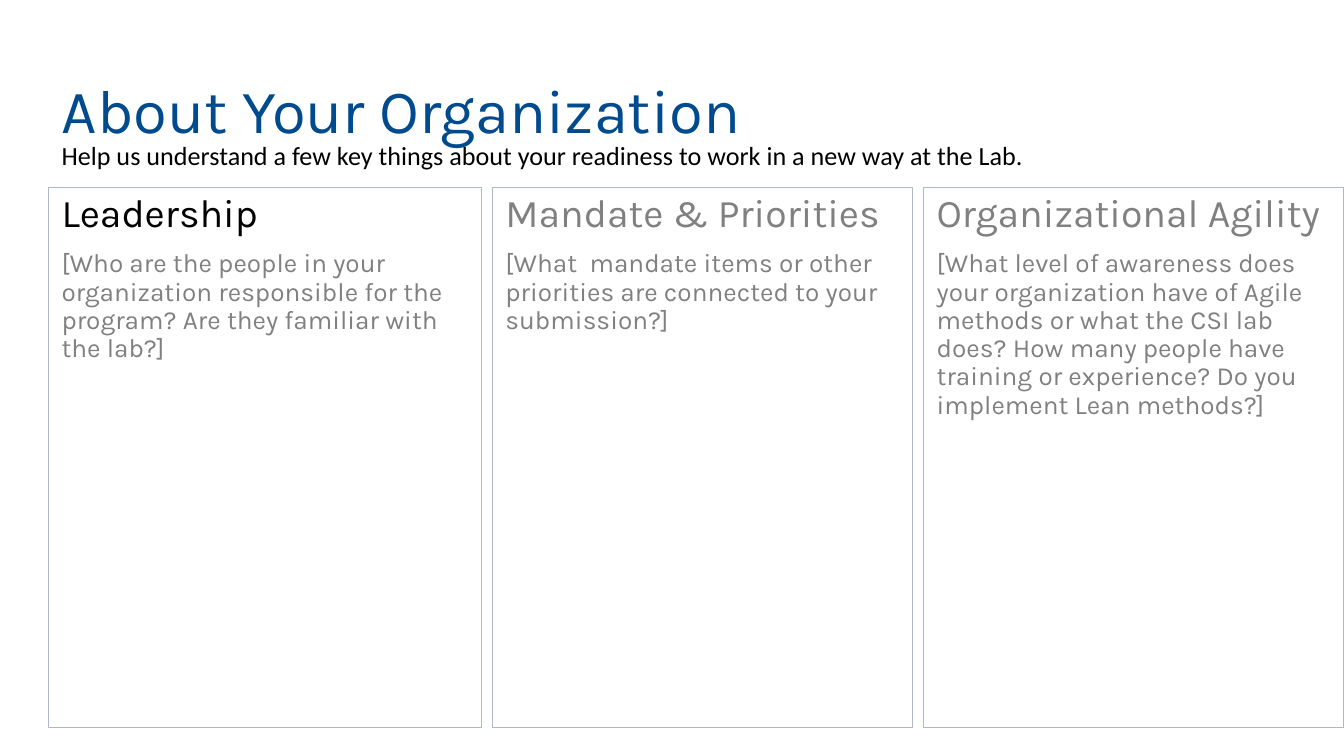
from dataclasses import dataclass

import lxml.etree
import pptx
import pptx.dml.color
import pptx.enum.shapes
import pptx.enum.text
import pptx.oxml.ns
import pptx.slide
import pptx.text.text
import pptx.util

Pt = pptx.util.Pt
RGBColor = pptx.dml.color.RGBColor

BLUE = RGBColor(0x00, 0x4B, 0x8D)
BLACK = RGBColor(0x00, 0x00, 0x00)
GRAY = RGBColor(0x80, 0x80, 0x80)
WHITE = RGBColor(0xFF, 0xFF, 0xFF)
BORDER = RGBColor(0xAD, 0xB9, 0xCA)

LEFT = 25.92
PANEL_TOP = 100.4
PANEL_HEIGHT = 289.4
PANEL_GAP = 5.7
PANEL_ALPHA = 83


@dataclass
class Panel:
    heading: str
    prompt: str
    width: float
    heading_color: RGBColor = GRAY


PANELS = [
    Panel(
        "Leadership",
        "[Who are the people in your organization responsible for the program? "
        "Are they familiar with the lab?]",
        232.1,
        BLACK,
    ),
    Panel(
        "Mandate & Priorities",
        "[What  mandate items or other priorities are connected to your submission?]",
        225.3,
    ),
    Panel(
        "Organizational Agility",
        "[What level of awareness does your organization have of Agile methods "
        "or what the CSI lab does? How many people have training or experience? "
        "Do you implement Lean methods?]",
        225.3,
    ),
]


def write(p: pptx.text.text._Paragraph, text: str, size: float,
          color: RGBColor, font: str = "Karla", spacing: float = 0.9) -> None:
    p.text = text
    p.alignment = pptx.enum.text.PP_ALIGN.LEFT
    p.line_spacing = spacing
    for r in p.runs:
        r.font.name = font
        r.font.size = Pt(size)
        r.font.color.rgb = color


def add_title(s: pptx.slide.Slide) -> None:
    sp = s.shapes.title
    sp.left, sp.top, sp.width, sp.height = Pt(LEFT), Pt(21.6), Pt(666), Pt(78.48)
    tf = sp.text_frame
    tf.auto_size = pptx.enum.text.MSO_AUTO_SIZE.NONE
    tf.vertical_anchor = pptx.enum.text.MSO_ANCHOR.MIDDLE
    write(tf.paragraphs[0], "About Your Organization", 33, BLUE)


def add_panel(s: pptx.slide.Slide, panel: Panel, left: float) -> None:
    sp = s.shapes.add_shape(
        pptx.enum.shapes.MSO_SHAPE.RECTANGLE,
        Pt(left), Pt(PANEL_TOP), Pt(panel.width), Pt(PANEL_HEIGHT),
    )
    sp.shadow.inherit = False
    sp.fill.solid()
    sp.fill.fore_color.rgb = WHITE
    color = sp.fill._xPr.find(".//" + pptx.oxml.ns.qn("a:srgbClr"))
    alpha = lxml.etree.SubElement(color, pptx.oxml.ns.qn("a:alpha"))
    alpha.set("val", str(PANEL_ALPHA * 1000))
    sp.line.color.rgb = BORDER
    sp.line.width = Pt(0.75)
    tf = sp.text_frame
    tf.word_wrap = True
    tf.vertical_anchor = pptx.enum.text.MSO_ANCHOR.TOP
    write(tf.paragraphs[0], panel.heading, 21, panel.heading_color)
    p = tf.add_paragraph()
    p.space_before = Pt(7.5)
    write(p, panel.prompt, 14, GRAY)


def add_subtitle(s: pptx.slide.Slide) -> None:
    sp = s.shapes.add_textbox(Pt(LEFT), Pt(71.28), Pt(623.52), Pt(24.48))
    tf = sp.text_frame
    tf.word_wrap = True
    tf.auto_size = pptx.enum.text.MSO_AUTO_SIZE.SHAPE_TO_FIT_TEXT
    write(
        tf.paragraphs[0],
        "Help us understand a few key things about your readiness "
        "to work in a new way at the Lab.",
        14, BLACK, "Calibri", 1.0,
    )


def main() -> None:
    prs = pptx.Presentation()
    prs.slide_width = Pt(720)
    prs.slide_height = Pt(405)
    s = prs.slides.add_slide(prs.slide_layouts.get_by_name("Title Only"))
    add_title(s)
    left = LEFT
    for panel in PANELS:
        add_panel(s, panel, left)
        left += panel.width + PANEL_GAP
    add_subtitle(s)
    prs.save("out.pptx")


if __name__ == "__main__":
    main()
